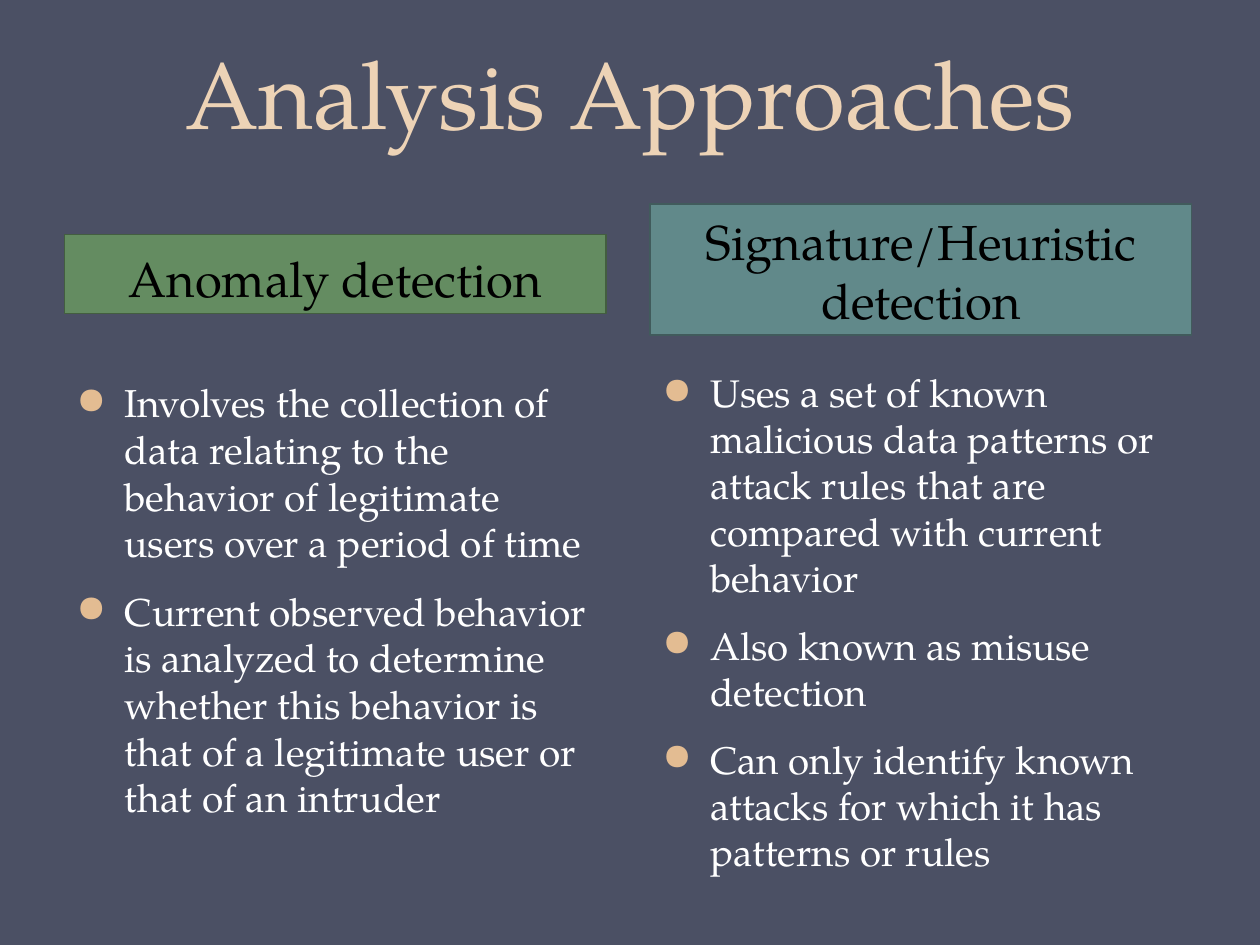
from lxml import etree
from pptx import Presentation
from pptx.dml.color import RGBColor
from pptx.enum.shapes import MSO_SHAPE
from pptx.enum.text import MSO_ANCHOR, PP_ALIGN
from pptx.oxml.ns import qn
from pptx.util import Inches, Pt

RECTANGLE = MSO_SHAPE.RECTANGLE
TOP, BOTTOM = MSO_ANCHOR.TOP, MSO_ANCHOR.BOTTOM
LEFT, CENTER = PP_ALIGN.LEFT, PP_ALIGN.CENTER

FONT = "TeX Gyre Pagella"
BACKGROUND = RGBColor(0x4B, 0x50, 0x64)
TITLE_COLOR = RGBColor(0xED, 0xD3, 0xB6)
BULLET_COLOR = RGBColor(0xE3, 0xBC, 0x92)
BLACK = RGBColor(0x00, 0x00, 0x00)
WHITE = RGBColor(0xFF, 0xFF, 0xFF)
GREEN = RGBColor(0x64, 0x8C, 0x61)
GREEN_EDGE = RGBColor(0x43, 0x5E, 0x40)
TEAL = RGBColor(0x61, 0x89, 0x8A)
TEAL_EDGE = RGBColor(0x41, 0x5B, 0x5C)

COLUMN_WIDTH = 4.3
COLUMNS = [
    {
        "left": 0.51,
        "heading": "Anomaly detection",
        "heading_span": (1.86, 0.63),
        "fill": GREEN,
        "edge": GREEN_EDGE,
        "body_span": (2.96, 4.19),
        "size": 22.2,
        "points": [
            "Involves the collection of data relating to the behavior of "
            "legitimate users over a period of time",
            "Current observed behavior is analyzed to determine whether this "
            "behavior is that of a legitimate user or that of an intruder",
        ],
    },
    {
        "left": 5.16,
        "heading": "Signature/Heuristic detection",
        "heading_span": (1.62, 1.04),
        "fill": TEAL,
        "edge": TEAL_EDGE,
        "body_span": (2.88, 3.77),
        "size": 22,
        "points": [
            "Uses a set of known malicious data patterns or attack rules that "
            "are compared with current behavior",
            "Also known as misuse detection",
            "Can only identify known attacks for which it has patterns or rules",
        ],
    },
]


def add_bullet(paragraph):
    """Give a paragraph a hanging, coloured round bullet."""
    properties = paragraph._p.get_or_add_pPr()
    properties.set("marL", str(Inches(0.38)))
    properties.set("indent", str(Inches(-0.38)))
    color = etree.SubElement(properties, qn("a:buClr"))
    etree.SubElement(color, qn("a:srgbClr"), val=str(BULLET_COLOR))
    etree.SubElement(properties, qn("a:buSzPct"), val="140000")
    etree.SubElement(properties, qn("a:buFont"), typeface=FONT)
    etree.SubElement(properties, qn("a:buChar"), char="•")


def write_text(shape, texts, size, color, align=LEFT, anchor=TOP,
               before=0, after=0, line_spacing=None, bulleted=False):
    """Fill a shape with one formatted paragraph per text."""
    frame = shape.text_frame
    frame.word_wrap = True
    frame.vertical_anchor = anchor
    for index, text in enumerate(texts):
        paragraph = frame.add_paragraph() if index else frame.paragraphs[0]
        paragraph.alignment = align
        paragraph.space_before = Pt(before)
        paragraph.space_after = Pt(after)
        if line_spacing:
            paragraph.line_spacing = Pt(line_spacing)
        if bulleted:
            add_bullet(paragraph)
        run = paragraph.add_run()
        run.text = text
        run.font.name = FONT
        run.font.size = Pt(size)
        run.font.color.rgb = color


def add_title(slide, left, top, width, height):
    """Place the slide title in the given box."""
    title = slide.shapes.add_textbox(
        Inches(left), Inches(top), Inches(width), Inches(height))
    write_text(title, ["Analysis Approaches"], 54, TITLE_COLOR,
               align=CENTER, anchor=BOTTOM, line_spacing=58)


def add_heading(slide, left, top, width, height, text, fill, edge):
    """Place a filled column heading in the given box."""
    heading = slide.shapes.add_shape(
        RECTANGLE, Inches(left), Inches(top), Inches(width), Inches(height))
    heading.shadow.inherit = False
    heading.fill.solid()
    heading.fill.fore_color.rgb = fill
    heading.line.color.rgb = edge
    heading.line.width = Pt(0.75)
    write_text(heading, [text], 28, BLACK,
               align=CENTER, anchor=BOTTOM, before=5.6)


def add_points(slide, left, top, width, height, points, size):
    """Place a bulleted list in the given box."""
    body = slide.shapes.add_textbox(
        Inches(left), Inches(top), Inches(width), Inches(height))
    write_text(body, points, size, WHITE, before=4.4, after=8, bulleted=True)


def add_column(slide, column):
    """Place the heading of one approach and the points below it."""
    left = column["left"]
    top, height = column["heading_span"]
    add_heading(slide, left, top, COLUMN_WIDTH, height,
                column["heading"], column["fill"], column["edge"])
    top, height = column["body_span"]
    add_points(slide, left, top, COLUMN_WIDTH, height,
               column["points"], column["size"])


def main():
    """Build and save the presentation."""
    presentation = Presentation()
    presentation.slide_width = Inches(10)
    presentation.slide_height = Inches(7.5)
    slide = presentation.slides.add_slide(presentation.slide_layouts[6])
    slide.background.fill.solid()
    slide.background.fill.fore_color.rgb = BACKGROUND
    add_title(slide, 0.5, 0, 9, 1.23)
    for column in COLUMNS:
        add_column(slide, column)
    presentation.save("out.pptx")


if __name__ == "__main__":
    main()
